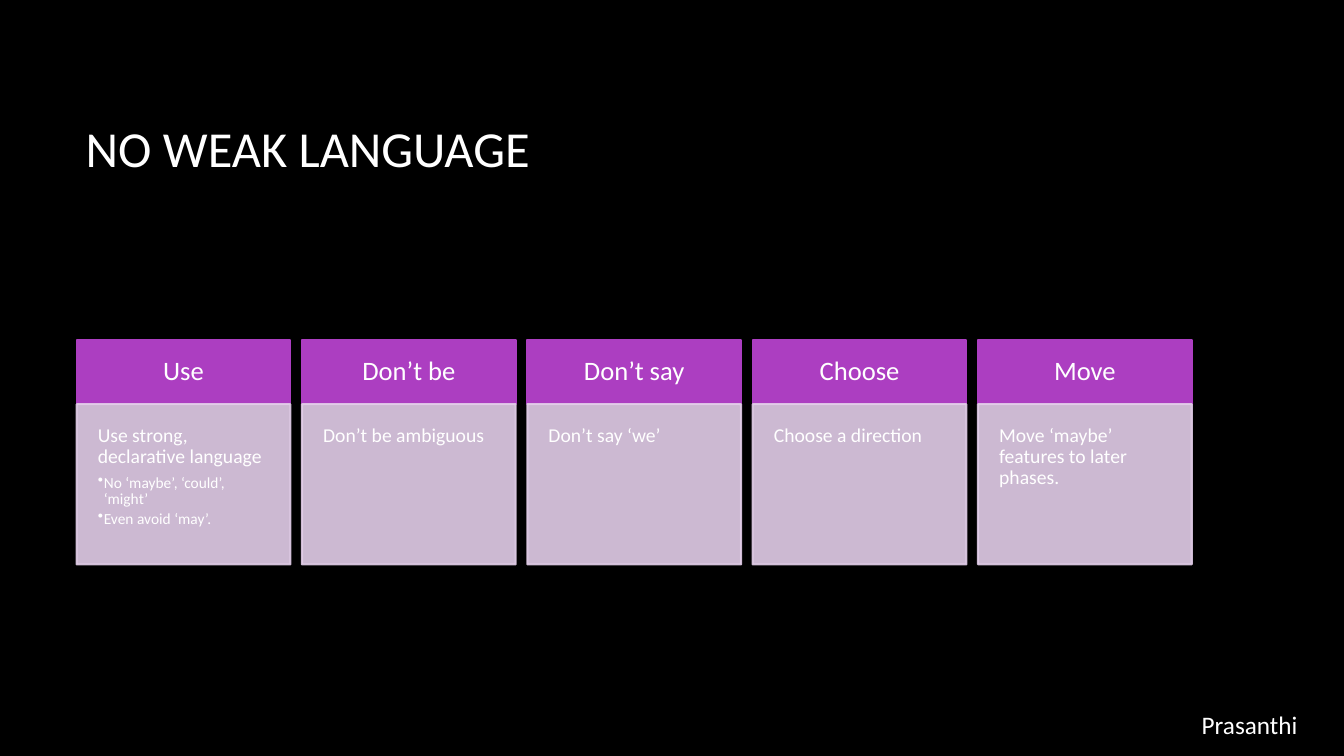
"""Builds the "No weak language" slide: a title, five advice cards and a name."""
import pptx
import pptx.dml.color
import pptx.enum.shapes
import pptx.enum.text
import pptx.oxml
import pptx.oxml.ns
import pptx.util

TITLE = "NO WEAK LANGUAGE"
AUTHOR = "Prasanthi"
CARDS = [
    ("Use", "Use strong, declarative language",
     ["No ‘maybe’, ‘could’, ‘might’", "Even avoid ‘may’."]),
    ("Don’t be", "Don’t be ambiguous", []),
    ("Don’t say", "Don’t say ‘we’", []),
    ("Choose", "Choose a direction", []),
    ("Move", "Move ‘maybe’ features to later phases.", []),
]
FONT = "Calibri"
BLACK, WHITE, PURPLE, LILAC = "000000", "FFFFFF", "AC3EC1", "E3CEE9"
EMU_PER_PX = 9144
SLIDE_WIDTH, SLIDE_HEIGHT = 1333, 750
CARD_LEFT, CARD_RIGHT, CARD_WIDTH = 76, 1182, 212
HEAD_TOP, HEAD_HEIGHT, BODY_HEIGHT = 337, 64, 159
ANCHOR = pptx.enum.text.MSO_ANCHOR
ALIGN = pptx.enum.text.PP_ALIGN


def px(length):
    return pptx.util.Emu(round(length * EMU_PER_PX))


def paint(color_format, color):
    color_format.rgb = pptx.dml.color.RGBColor.from_string(color)


def style(para, size, align=ALIGN.LEFT):
    para.alignment = align
    for span in para.runs:
        span.font.name = FONT
        span.font.size = pptx.util.Pt(size)
        paint(span.font.color, WHITE)


def tighten(para, after):
    para.line_spacing = 0.9
    para.space_after = pptx.util.Pt(after)


def add_bullet(para, indent):
    properties = para._p.get_or_add_pPr()
    properties.set("marL", str(px(indent)))
    properties.set("indent", str(px(-indent)))
    properties.append(pptx.oxml.parse_xml(
        f'<a:buChar {pptx.oxml.ns.nsdecls("a")} char="•"/>'))


def add_panel(page, left, top, height, color, inset, anchor, opacity=100):
    box = page.shapes.add_shape(pptx.enum.shapes.MSO_SHAPE.RECTANGLE,
                                px(left), px(top), px(CARD_WIDTH), px(height))
    box.shadow.inherit = False
    box.fill.solid()
    paint(box.fill.fore_color, color)
    box.line.width = pptx.util.Pt(1.5)
    paint(box.line.color, color)
    if opacity < 100:
        for swatch in box._element.spPr.iter(pptx.oxml.ns.qn("a:srgbClr")):
            swatch.append(pptx.oxml.parse_xml(
                f'<a:alpha {pptx.oxml.ns.nsdecls("a")} val="{opacity * 1000}"/>'))
    frame = box.text_frame
    frame.word_wrap = True
    frame.vertical_anchor = anchor
    frame.margin_left = frame.margin_right = px(inset)
    frame.margin_top = frame.margin_bottom = px(inset)
    return frame


def add_card(page, left, heading, advice, points):
    head = add_panel(page, left, HEAD_TOP, HEAD_HEIGHT, PURPLE, 17, ANCHOR.MIDDLE)
    head.text = heading
    style(head.paragraphs[0], 19, ALIGN.CENTER)
    tighten(head.paragraphs[0], 0)

    body = add_panel(page, left, HEAD_TOP + HEAD_HEIGHT, BODY_HEIGHT, LILAC, 21,
                     ANCHOR.TOP, opacity=90)
    body.text = advice
    style(body.paragraphs[0], 14)
    tighten(body.paragraphs[0], 5)
    for point in points:
        para = body.add_paragraph()
        para.text = point
        para.level = 1
        style(para, 11)
        tighten(para, 2)
        add_bullet(para, 6)


def add_title(page):
    title = page.shapes.title
    title.left, title.top, title.width, title.height = map(px, (75, 67, 1108, 159))
    title.text_frame.text = TITLE
    title.text_frame.auto_size = pptx.enum.text.MSO_AUTO_SIZE.NONE
    title.text_frame.vertical_anchor = ANCHOR.MIDDLE
    style(title.text_frame.paragraphs[0], 36)


def add_author(page):
    label = page.shapes.add_textbox(*map(px, (1182, 699, 116, 40)))
    label.text_frame.word_wrap = False
    label.text_frame.text = AUTHOR
    style(label.text_frame.paragraphs[0], 18)


def main():
    deck = pptx.Presentation()
    deck.slide_width, deck.slide_height = px(SLIDE_WIDTH), px(SLIDE_HEIGHT)
    page = deck.slides.add_slide(deck.slide_layouts.get_by_name("Title Only"))
    page.background.fill.solid()
    paint(page.background.fill.fore_color, BLACK)
    add_title(page)
    pitch = (CARD_RIGHT - CARD_WIDTH - CARD_LEFT) / (len(CARDS) - 1)
    for index, card in enumerate(CARDS):
        add_card(page, CARD_LEFT + index * pitch, *card)
    add_author(page)
    deck.save("out.pptx")


if __name__ == "__main__":
    main()
